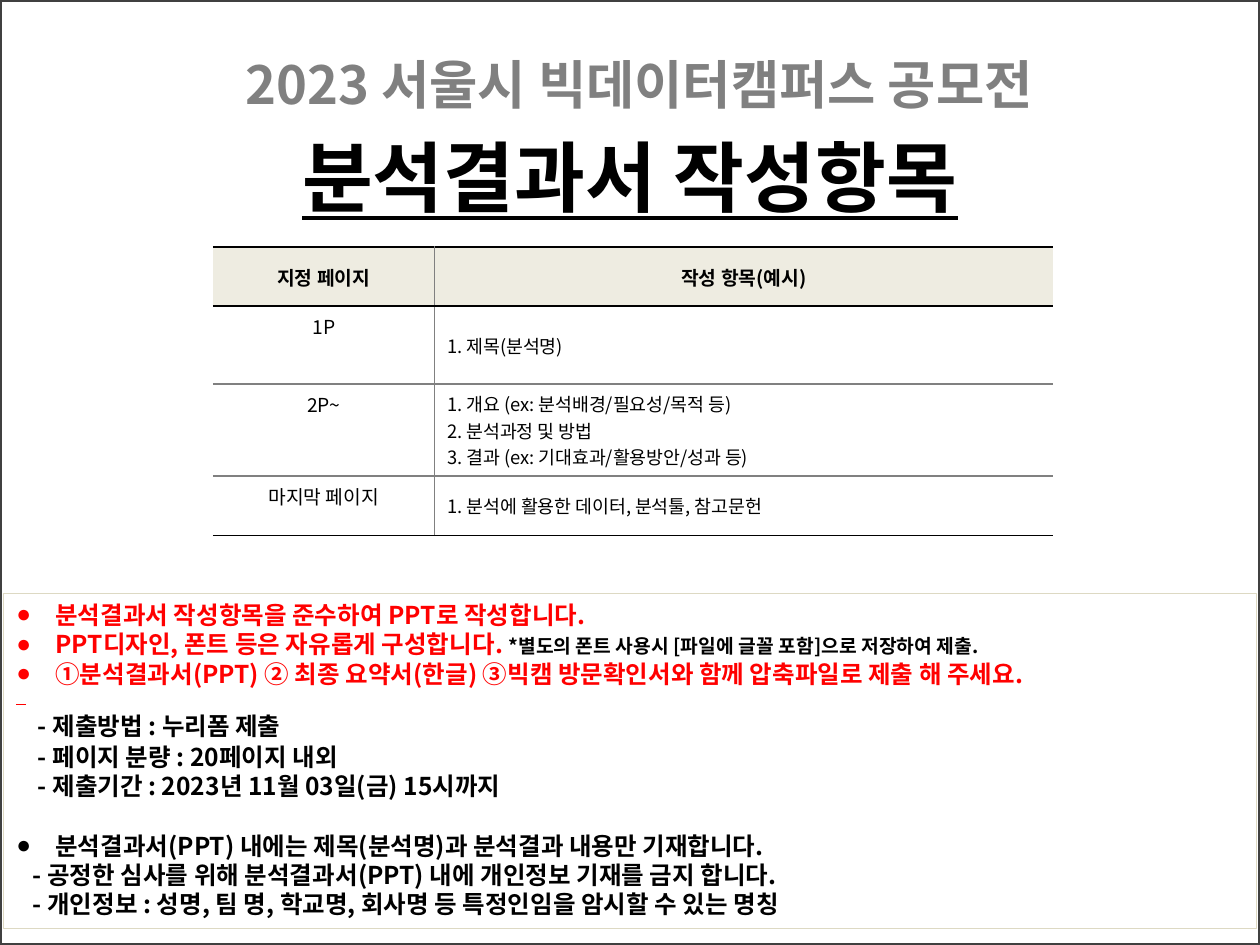
from dataclasses import dataclass

from lxml import etree
from pptx import Presentation
from pptx import util as u
from pptx.dml.color import RGBColor
from pptx.enum import shapes, text
from pptx.oxml import ns

FONT = "Noto Sans CJK KR"
BLACK, GRAY, RED = "000000", "808080", "FF0000"
LEFT, CENTER = text.PP_ALIGN.LEFT, text.PP_ALIGN.CENTER


@dataclass
class Line:
    text: str
    color: str = BLACK
    bullet: bool = False
    indent: float = 0
    before: float = 0
    note: str = ""


@dataclass
class Row:
    page: str
    items: list[str]
    height: float


ROWS = [
    Row("지정 페이지", ["작성 항목(예시)"], 0.47),
    Row("1P", ["1. 제목(분석명)"], 0.62),
    Row("2P~", ["1. 개요 (ex: 분석배경/필요성/목적 등)", "2. 분석과정 및 방법",
                "3. 결과 (ex: 기대효과/활용방안/성과 등)"], 0.73),
    Row("마지막 페이지", ["1. 분석에 활용한 데이터, 분석툴, 참고문헌"], 0.47),
]

LINES = [
    Line("분석결과서 작성항목을 준수하여 PPT로 작성합니다.", RED, True),
    Line("PPT디자인, 폰트 등은 자유롭게 구성합니다. ", RED, True,
         note="*별도의 폰트 사용시 [파일에 글꼴 포함]으로 저장하여 제출."),
    Line("①분석결과서(PPT) ② 최종 요약서(한글) ③빅캠 방문확인서와 함께 압축파일로 제출 해 주세요.",
         RED, True),
    Line("- 제출방법 : 누리폼 제출", indent=0.17, before=13),
    Line("- 페이지 분량 : 20페이지 내외", indent=0.17, before=1),
    Line("- 제출기간 : 2023년 11월 03일(금) 15시까지", indent=0.17),
    Line("분석결과서(PPT) 내에는 제목(분석명)과 분석결과 내용만 기재합니다.", bullet=True, before=17),
    Line("- 공정한 심사를 위해 분석결과서(PPT) 내에 개인정보 기재를 금지 합니다.", indent=0.13),
    Line("- 개인정보 : 성명, 팀 명, 학교명, 회사명 등 특정인임을 암시할 수 있는 명칭", indent=0.13),
]


def rgb(color: str) -> RGBColor:
    return RGBColor.from_string(color)


def set_font(font, size: float, color: str = BLACK, bold: bool = True, name: str = FONT) -> None:
    font.size, font.bold, font.name = u.Pt(size), bold, name
    font.color.rgb = rgb(color)
    font._element.set("kern", "0")
    latin = font._element.find(ns.qn("a:latin"))
    latin.addnext(etree.Element(ns.qn("a:ea"), typeface=FONT))


def place(sp, left: float, top: float, width: float, height: float) -> None:
    sp.left, sp.top = u.Inches(left), u.Inches(top)
    sp.width, sp.height = u.Inches(width), u.Inches(height)


def set_bullet(p, bullet: bool, indent: float) -> None:
    pPr = p._p.get_or_add_pPr()
    pPr.set("marL", str(u.Inches(0.31 if bullet else indent)))
    pPr.set("indent", str(u.Inches(-0.31 if bullet else 0)))
    mark = etree.Element(ns.qn("a:buChar" if bullet else "a:buNone"))
    if bullet:
        mark.set("char", "●")
    pPr.find(ns.qn("a:defRPr")).addprevious(mark)


def set_borders(cell, **sides: str) -> None:
    tcPr = cell._tc.get_or_add_tcPr()
    for i, (side, color) in enumerate(sides.items()):
        ln = etree.Element(ns.qn(f"a:ln{side}"), w=str(u.Pt(1 if color else 0)))
        if color:
            fill = etree.SubElement(ln, ns.qn("a:solidFill"))
            etree.SubElement(fill, ns.qn("a:srgbClr"), val=color)
        else:
            etree.SubElement(ln, ns.qn("a:noFill"))
        tcPr.insert(i, ln)


def add_items_table(s, rows: list[Row]) -> None:
    height = sum(row.height for row in rows)
    frame = s.shapes.add_table(len(rows), 2, u.Inches(1.69), u.Inches(1.96),
                               u.Inches(6.67), u.Inches(height))
    tbl = frame.table
    tbl.first_row = tbl.horz_banding = False
    for col, width in zip(tbl.columns, (1.76, 4.91)):
        col.width = u.Inches(width)
    for i, row in enumerate(rows):
        tbl.rows[i].height = u.Inches(row.height)
        head = i == 0
        for j, items in enumerate(([row.page], row.items)):
            cell = tbl.cell(i, j)
            cell.text = "\n".join(items)
            cell.vertical_anchor = text.MSO_ANCHOR.MIDDLE if head or j else text.MSO_ANCHOR.TOP
            for p in cell.text_frame.paragraphs:
                p.alignment = CENTER if head or j == 0 else LEFT
                set_font(p.font, 11 if head or j == 0 else 10.5, bold=head)
            if head:
                cell.fill.solid()
                cell.fill.fore_color.rgb = rgb("EEECE1")
            else:
                cell.fill.background()
            set_borders(cell, L=GRAY if j else "", R="" if j else GRAY,
                        T=BLACK if i < 2 else GRAY,
                        B=BLACK if i in (0, len(rows) - 1) else GRAY)


def add_guide(sp, lines: list[Line]) -> None:
    place(sp, 0.03, 4.71, 9.94, 2.66)
    sp.line.color.rgb = rgb("DDD9C3")
    sp.line.width = u.Pt(0.75)
    tf = sp.text_frame
    tf.auto_size = text.MSO_AUTO_SIZE.NONE
    tf.vertical_anchor = text.MSO_ANCHOR.TOP
    for i, line in enumerate(lines):
        p = tf.paragraphs[0] if i == 0 else tf.add_paragraph()
        p.line_spacing, p.space_before = 1.0, u.Pt(line.before)
        p.add_run().text = line.text
        set_font(p.font, 14, line.color)
        set_bullet(p, line.bullet, line.indent)
        if line.note:
            r = p.add_run()
            r.text = line.note
            set_font(r.font, 11)


prs = Presentation()
prs.slide_width, prs.slide_height = u.Inches(10), u.Inches(7.5)
s = prs.slides.add_slide(prs.slide_layouts[1])

# Page frame
frame = s.shapes.add_shape(shapes.MSO_SHAPE.RECTANGLE, 0, 0, prs.slide_width, prs.slide_height)
frame.shadow.inherit = False
frame.fill.background()
frame.line.color.rgb = rgb("404040")
frame.line.width = u.Pt(2)

# Title and contest name
title = s.shapes.title
place(title, 0, 0.77, 10, 1.25)
title.text_frame.text = "분석결과서 작성항목"
p = title.text_frame.paragraphs[0]
p.alignment = CENTER
set_font(p.font, 44, name="Arial")
p.font.underline = True

contest = s.shapes.add_textbox(0, 0, 0, 0)
place(contest, 1.14, 0.36, 7.87, 1.92)
contest.text_frame.word_wrap = True
p = contest.text_frame.paragraphs[0]
p.text = "2023 서울시 빅데이터캠퍼스 공모전"
p.alignment = CENTER
set_font(p.font, 30, GRAY)

# Required items and submission guide
add_items_table(s, ROWS)
add_guide(s.placeholders[1], LINES)

# Short red rule between the red and black guide lines
rule = s.shapes.add_connector(shapes.MSO_CONNECTOR.STRAIGHT, u.Inches(0.13), u.Inches(5.59),
                              u.Inches(0.21), u.Inches(5.59))
rule.line.color.rgb = rgb(RED)
rule.line.width = u.Pt(0.5)
etree.SubElement(rule._element.spPr, ns.qn("a:effectLst"))

prs.save("out.pptx")
